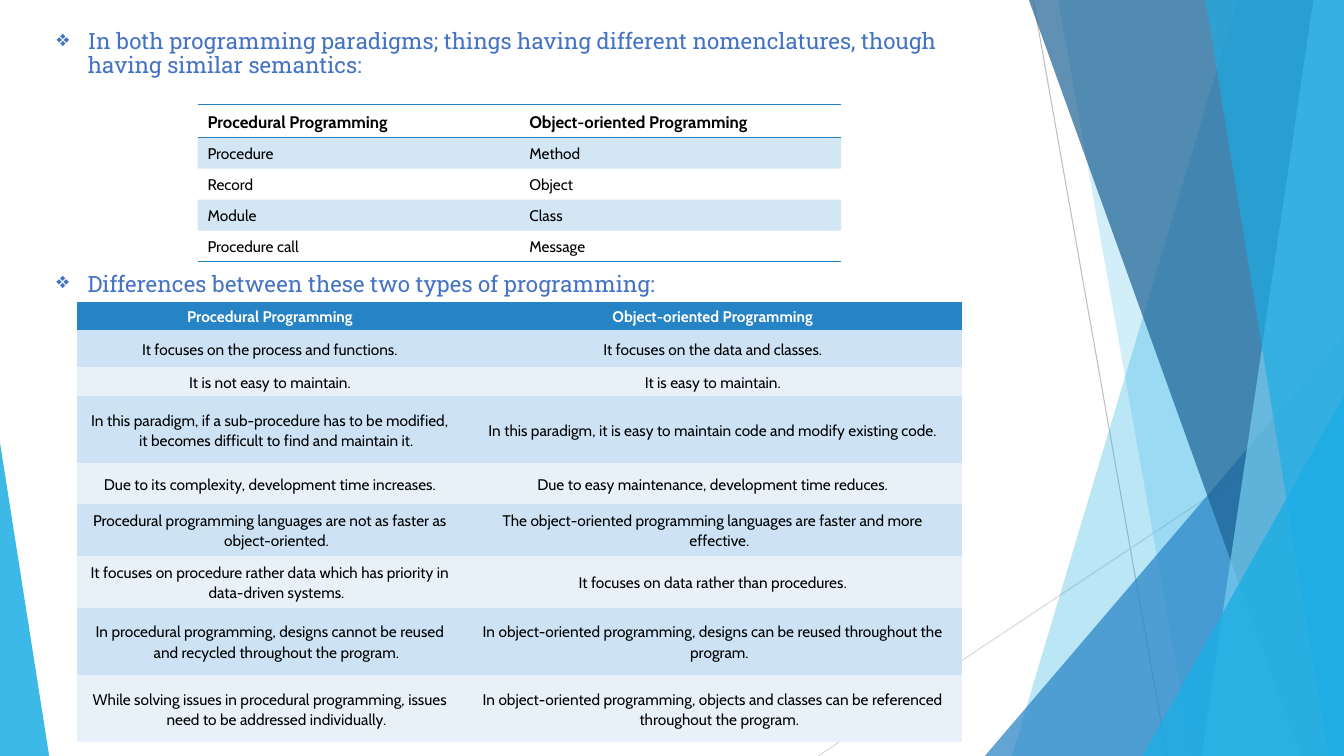
"""Build a slide comparing procedural and object-oriented programming."""
from dataclasses import dataclass

from lxml.etree import SubElement
from pptx import Presentation
from pptx.dml.color import RGBColor
from pptx.enum.shapes import MSO_CONNECTOR, MSO_SHAPE
from pptx.enum.text import MSO_ANCHOR, MSO_AUTO_SIZE, PP_ALIGN
from pptx.oxml.ns import qn
from pptx.util import Cm, Pt

WIDTH, HEIGHT = 33.87, 19.05
NO_STYLE = "{2D5ABB26-0587-4C30-8999-92F81FD0307C}"
HEADING_FONT, BODY_FONT = "Roboto Slab", "Cabin"

BLACK = RGBColor(0x00, 0x00, 0x00)
WHITE = RGBColor(0xFF, 0xFF, 0xFF)
HEADING = RGBColor(0x44, 0x72, 0xC4)
SKY = RGBColor(0x1C, 0xAD, 0xE4)
BLUE = RGBColor(0x26, 0x83, 0xC6)
NAVY = RGBColor(0x1D, 0x62, 0x94)
PALE_SKY = RGBColor(0x77, 0xCE, 0xEF)
BAND_DARK = RGBColor(0xCD, 0xE3, 0xF5)
BAND_LIGHT = RGBColor(0xE8, 0xF1, 0xFA)
GREY = RGBColor(0xBF, 0xBF, 0xBF)
LIGHT_GREY = RGBColor(0xD9, 0xD9, 0xD9)


@dataclass(frozen=True)
class Ray:
    x1: float
    y1: float
    x2: float
    color: RGBColor


@dataclass(frozen=True)
class Facet:
    top_x: float
    bottom_x: float
    color: RGBColor
    opacity: int


@dataclass(frozen=True)
class Triangle:
    left: float
    top: float
    width: float
    apex: float
    color: RGBColor
    opacity: int


@dataclass(frozen=True)
class Grid:
    left: float
    top: float
    cols: tuple
    heights: tuple
    rows: tuple
    inset_x: float
    inset_y: float
    header_size: float
    header_color: RGBColor
    align: PP_ALIGN


DECOR = (
    Ray(26.04, 0, 29.41, GREY),
    Ray(WIDTH, 10.24, 20.62, LIGHT_GREY),
    Facet(31.19, 25.5, SKY, 30),
    Facet(26.67, 30.05, SKY, 20),
    Triangle(24.82, 8.46, 9.05, 1, BLUE, 72),
    Facet(25.93, 32.79, NAVY, 70),
    Facet(33.1, 30.28, PALE_SKY, 70),
    Facet(30.38, 33.48, SKY, 65),
    Triangle(28.8, 9.98, 5.07, 1, SKY, 80),
    Triangle(0, 11.15, 1.24, 0, SKY, 85),
)
COLUMN_HEADS = ("Procedural Programming", "Object-oriented Programming")
TERMS = Grid(4.98, 2.64, (8.11, 8.11), (0.83, 0.78, 0.78, 0.78, 0.78), (
    COLUMN_HEADS,
    ("Procedure", "Method"),
    ("Record", "Object"),
    ("Module", "Class"),
    ("Procedure call", "Message"),
), 0.25, 0.13, 12, BLACK, PP_ALIGN.LEFT)
DIFFERENCES = Grid(1.93, 7.62, (9.75, 12.57), (0.7, 0.93, 0.73, 1.69, 1.03, 1.31, 1.31, 1.69, 1.69), (
    COLUMN_HEADS,
    ("It focuses on the process and functions.", "It focuses on the data and classes."),
    ("It is not easy to maintain.", "It is easy to maintain."),
    ("In this paradigm, if a sub-procedure has to be modified, it becomes difficult to find and maintain it.",
     "In this paradigm, it is easy to maintain code and modify existing code."),
    ("Due to its complexity, development time increases.",
     "Due to easy maintenance, development time reduces."),
    ("Procedural programming languages are not as faster as object-oriented.",
     "The object-oriented programming languages are faster and more effective."),
    ("It focuses on procedure rather data which has priority in data-driven systems.",
     "It focuses on data rather than procedures."),
    ("In procedural programming, designs cannot be reused and recycled throughout the program.",
     "In object-oriented programming, designs can be reused throughout the program."),
    ("While solving issues in procedural programming, issues need to be addressed individually.",
     "In object-oriented programming, objects and classes can be referenced throughout the program."),
), 0.23, 0.1, 11, WHITE, PP_ALIGN.CENTER)


def write(tf, text: str, *, font=BODY_FONT, size=11.0, color=BLACK, bold=False, align=PP_ALIGN.LEFT,
          left=0.33, first=-0.64, spacing=1.07, after=8, bullet="") -> None:
    p = tf.paragraphs[0]
    p.alignment, p.line_spacing, p.space_after = align, spacing, Pt(after)
    pPr = p._p.get_or_add_pPr()
    pPr.set("marL", str(Cm(left)))
    pPr.set("indent", str(Cm(first)))
    if bullet:
        SubElement(pPr, qn("a:buChar"), char=bullet)
    r = p.add_run()
    r.text = text
    r.font.name, r.font.size, r.font.bold = font, Pt(size), bold
    r.font.color.rgb = color


def write_heading(sp, text: str, top: float, width: float, height: float, spacing: float) -> None:
    sp.left, sp.top, sp.width, sp.height = Cm(1.17), Cm(top), Cm(width), Cm(height)
    tf = sp.text_frame
    tf.word_wrap, tf.auto_size, tf.vertical_anchor = True, MSO_AUTO_SIZE.NONE, MSO_ANCHOR.TOP
    write(tf, text, font=HEADING_FONT, size=16, color=HEADING, left=0.79, first=-0.79,
          spacing=spacing, after=0, bullet="❖")


def paint(fill, color: RGBColor, opacity: int = 100) -> None:
    fill.solid()
    fill.fore_color.rgb = color
    if opacity < 100:
        srgb = next(fill._xPr.iter(qn("a:srgbClr")))
        SubElement(srgb, qn("a:alpha"), val=str(opacity * 1000))


def draw_decor(shapes, item: Ray | Facet | Triangle) -> None:
    if isinstance(item, Ray):
        line = shapes.add_connector(MSO_CONNECTOR.STRAIGHT, Cm(item.x1), Cm(item.y1), Cm(item.x2), Cm(HEIGHT))
        line.line.color.rgb, line.line.width = item.color, Pt(0.75)
        SubElement(line._element.spPr, qn("a:effectLst"))
        return
    if isinstance(item, Facet):
        builder = shapes.build_freeform(Cm(item.top_x), 0)
        corners = ((WIDTH, 0), (WIDTH, HEIGHT), (item.bottom_x, HEIGHT))
        builder.add_line_segments([(Cm(x), Cm(y)) for x, y in corners], close=True)
        sp = builder.convert_to_shape()
    else:
        sp = shapes.add_shape(MSO_SHAPE.ISOSCELES_TRIANGLE, Cm(item.left), Cm(item.top),
                              Cm(item.width), Cm(HEIGHT - item.top))
        sp.adjustments[0] = item.apex
    sp.shadow.inherit = False
    sp.line.fill.background()
    paint(sp.fill, item.color, item.opacity)


def add_border(cell, side: str) -> None:
    tcPr = cell._tc.get_or_add_tcPr()
    ln = SubElement(tcPr, qn(f"a:{side}"), w=str(Pt(1)))
    SubElement(SubElement(ln, qn("a:solidFill")), qn("a:srgbClr"), val=str(BLUE))


def fill_cell(cell, grid: Grid, row: int) -> None:
    if grid is DIFFERENCES:
        paint(cell.fill, BLUE if row == 0 else BAND_DARK if row % 2 else BAND_LIGHT)
        return
    if row == 0:
        add_border(cell, "lnT")
    if row in (0, len(grid.rows) - 1):
        add_border(cell, "lnB")
    if row % 2:
        paint(cell.fill, BLUE, 20)
    else:
        cell.fill.background()


def draw_grid(shapes, grid: Grid) -> None:
    table = shapes.add_table(len(grid.rows), len(grid.cols), Cm(grid.left), Cm(grid.top),
                             Cm(sum(grid.cols)), Cm(sum(grid.heights))).table
    next(table._tbl.iter(qn("a:tableStyleId"))).text = NO_STYLE
    for column, width in zip(table.columns, grid.cols):
        column.width = Cm(width)
    for i, (texts, height) in enumerate(zip(grid.rows, grid.heights)):
        table.rows[i].height = Cm(height)
        head = {"size": grid.header_size, "color": grid.header_color, "bold": True} if i == 0 else {}
        for j, text in enumerate(texts):
            cell = table.cell(i, j)
            cell.margin_left = cell.margin_right = Cm(grid.inset_x)
            cell.margin_top = cell.margin_bottom = Cm(grid.inset_y)
            cell.vertical_anchor = MSO_ANCHOR.MIDDLE
            fill_cell(cell, grid, i)
            write(cell.text_frame, text, align=grid.align, **head)


def main() -> None:
    prs = Presentation()
    prs.slide_width, prs.slide_height = Cm(WIDTH), Cm(HEIGHT)
    s = prs.slides.add_slide(prs.slide_layouts[5])
    for item in DECOR:
        draw_decor(s.shapes, item)
    write_heading(s.shapes.title, "In both programming paradigms; things having different nomenclatures, "
                  "though having similar semantics:", 0.64, 24.49, 1.7, 0.9)
    draw_grid(s.shapes, TERMS)
    write_heading(s.shapes.add_textbox(0, 0, 0, 0), "Differences between these two types of programming:",
                  6.68, 18.11, 0.94, 1.0)
    draw_grid(s.shapes, DIFFERENCES)
    prs.save("out.pptx")


if __name__ == "__main__":
    main()
